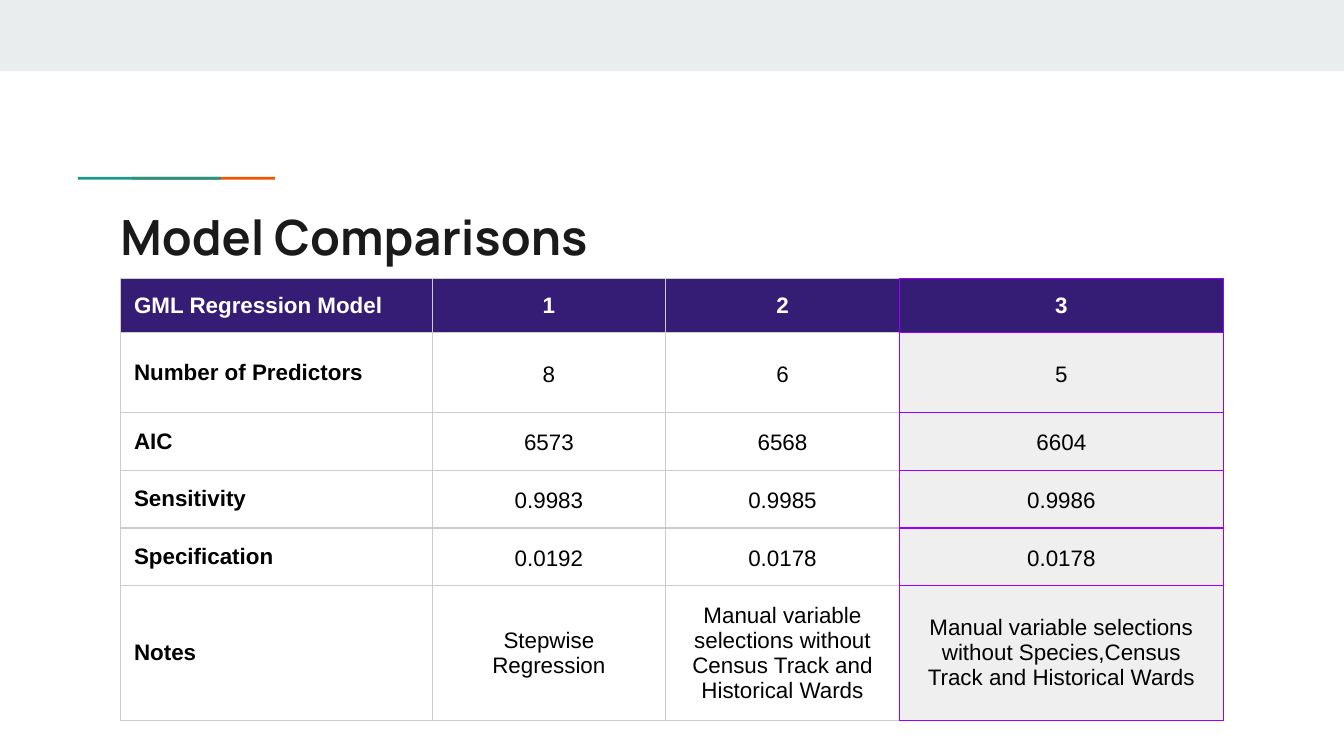
from lxml import etree
from pptx import Presentation
from pptx.dml.color import RGBColor
from pptx.enum.shapes import MSO_SHAPE
from pptx.enum.text import MSO_ANCHOR, PP_ALIGN
from pptx.oxml.ns import qn
from pptx.util import Pt

RECTANGLE = MSO_SHAPE.RECTANGLE
TOP, MIDDLE = MSO_ANCHOR.TOP, MSO_ANCHOR.MIDDLE
LEFT, CENTER = PP_ALIGN.LEFT, PP_ALIGN.CENTER

PURPLE, VIOLET = "351C75", "9900FF"
GREY, PALE, WHITE, BLACK = "CCCCCC", "EFEFEF", "FFFFFF", "000000"

COLUMN_WIDTHS = [167, 125, 125.3, 173.5]
ROW_HEIGHTS = [27.8, 42.9, 31, 31, 31, 68]
ROWS = [
    ["GML Regression Model", "1", "2", "3"],
    ["Number of Predictors", "8", "6", "5"],
    ["AIC", "6573", "6568", "6604"],
    ["Sensitivity", "0.9983", "0.9985", "0.9986"],
    ["Specification", "0.0192", "0.0178", "0.0178"],
    ["Notes", "Stepwise Regression",
     "Manual variable selections without Census Track and Historical Wards",
     "Manual variable selections without Species,Census Track and Historical Wards"],
]


def paint(target, color):
    target.solid()
    target.fore_color.rgb = RGBColor.from_string(color)


def apply(target, values):
    for name, value in values.items():
        setattr(target, name, value)


class SlideBuilder:
    margins = dict.fromkeys(
        ["margin_left", "margin_top", "margin_right", "margin_bottom"], Pt(7.2))

    def __init__(self, slide):
        self.slide = slide

    def bar(self, left, top, width, height, color):
        shape = self.slide.shapes.add_shape(
            RECTANGLE, Pt(left), Pt(top), Pt(width), Pt(height))
        shape.shadow.inherit = False
        paint(shape.fill, color)
        shape.line.fill.background()

    def fill_para(self, para, text, color, layout, font):
        apply(para, layout)
        span = para.add_run()
        span.text = text
        apply(span.font, font)
        paint(span.font.fill, color)

    def title(self, left, top, width, height, text):
        box = self.slide.shapes.add_textbox(Pt(left), Pt(top), Pt(width), Pt(height))
        frame = box.text_frame
        apply(frame, {**self.margins, "word_wrap": True, "vertical_anchor": TOP})
        self.fill_para(frame.paragraphs[0], text, "1A1A1A", {"alignment": LEFT},
                       {"name": "Manrope", "size": Pt(26), "bold": True})

    def borders(self, cell, colors):
        properties = cell._tc.get_or_add_tcPr()
        for position, (side, color) in enumerate(zip("LRTB", colors)):
            line = etree.Element(qn(f"a:ln{side}"), w=str(Pt(0.75)))
            fill = etree.SubElement(line, qn("a:solidFill"))
            etree.SubElement(fill, qn("a:srgbClr"), val=color)
            properties.insert(position, line)

    def cell(self, cell, text, row, column):
        header, label, chosen = row == 0, column == 0, column == 3
        apply(cell, {**self.margins, "vertical_anchor": MIDDLE})
        loose = 0 < row < len(ROWS) - 1 and not label
        self.fill_para(cell.text_frame.paragraphs[0], text, WHITE if header else BLACK,
                       {"alignment": LEFT if label else CENTER,
                        "line_spacing": 1.15 if loose else 1.0},
                       {"name": "Arial", "size": Pt(12), "bold": header or label})
        if header or chosen:
            paint(cell.fill, PURPLE if header else PALE)
        else:
            cell.fill.background()
        edge = VIOLET if chosen else GREY
        right = VIOLET if column >= 2 else GREY
        self.borders(cell, [edge, right, edge, edge])

    def table(self, left, top, rows, widths, heights):
        table = self.slide.shapes.add_table(
            len(rows), len(widths), Pt(left), Pt(top),
            Pt(sum(widths)), Pt(sum(heights))).table
        apply(table, {"first_row": False, "horz_banding": False})
        for column, width in zip(table.columns, widths):
            column.width = Pt(width)
        for row, height in zip(table.rows, heights):
            row.height = Pt(height)
        for row, texts in enumerate(rows):
            for column, text in enumerate(texts):
                self.cell(table.cell(row, column), text, row, column)


def main():
    deck = Presentation()
    apply(deck, {"slide_width": Pt(720), "slide_height": Pt(405)})
    page = SlideBuilder(deck.slides.add_slide(deck.slide_layouts[6]))
    page.bar(0, 0, 720, 38.2, "E9EDEE")
    page.bar(70.8, 94.8, 76.6, 1.5, "EB5600")
    page.bar(41.8, 94.8, 76.6, 1.5, "1A9988")
    page.title(57.4, 103.5, 605.6, 42.4, "Model Comparisons")
    page.table(64.6, 149.2, ROWS, COLUMN_WIDTHS, ROW_HEIGHTS)
    deck.save("out.pptx")


if __name__ == "__main__":
    main()
